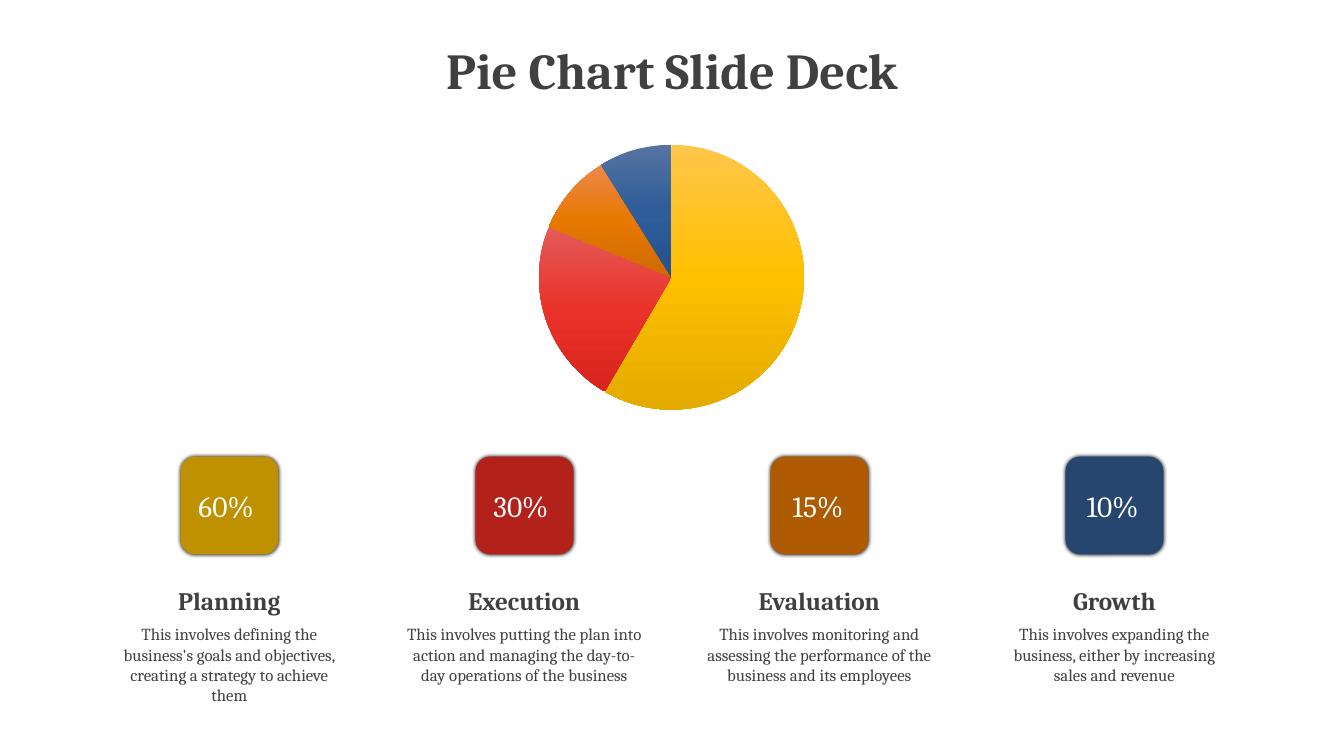
from lxml import etree
from pptx import Presentation
from pptx.chart.data import CategoryChartData
from pptx.dml.color import RGBColor
from pptx.enum.chart import XL_CHART_TYPE
from pptx.enum.shapes import MSO_SHAPE
from pptx.enum.text import MSO_ANCHOR, PP_ALIGN
from pptx.oxml import parse_xml
from pptx.oxml.ns import nsdecls, qn
from pptx.util import Inches, Pt

COLORS = {"text": "404040", "white": "FFFFFF", "black": "000000"}
PHASES = [
    {"name": "Planning", "share": "60%", "label_width": 0.81, "value": 59,
     "tile": "BF9000", "gradient": ("FFC64B", "FFC000", "E3AB00"),
     "detail": "This involves defining the business's goals and objectives, "
               "creating a strategy to achieve them"},
    {"name": "Execution", "share": "30%", "label_width": 0.81, "value": 23,
     "tile": "B3211B", "gradient": ("E55B58", "E9322A", "D8241C"),
     "detail": "This involves putting the plan into action and managing the "
               "day-to-day operations of the business"},
    {"name": "Evaluation", "share": "15%", "label_width": 0.73, "value": 10,
     "tile": "AD5A00", "gradient": ("ED884B", "E77800", "CD6B00"),
     "detail": "This involves monitoring and assessing the performance of the "
               "business and its employees"},
    {"name": "Growth", "share": "10%", "label_width": 0.75, "value": 9,
     "tile": "264670", "gradient": ("5673A2", "2E5D9A", "25528D"),
     "detail": "This involves expanding the business, either by increasing "
               "sales and revenue"},
]
TILE_SIZE = 0.97


def add_text(slide, box, lines, color, align=PP_ALIGN.CENTER, wrap=True):
    """Add a text box with one paragraph per (text, size, bold) line."""
    shape = slide.shapes.add_textbox(*map(Inches, box))
    text_frame = shape.text_frame
    text_frame.word_wrap = wrap
    text_frame.text = "\n".join(text for text, size, bold in lines)
    for paragraph, (text, size, bold) in zip(text_frame.paragraphs, lines):
        paragraph.alignment = align
        font = paragraph.runs[0].font
        font.name, font.size, font.bold = "Cambria", Pt(size), bold
        font.color.rgb = RGBColor.from_string(COLORS[color])
    return text_frame


def add_title(slide, box):
    """Place the slide title in the box."""
    title = add_text(slide, box, [("Pie Chart Slide Deck", 36, True)], "text")
    title.vertical_anchor = MSO_ANCHOR.MIDDLE


def add_gradient(point, colors):
    """Fill a pie slice with a vertical gradient of evenly spaced colours."""
    point.format.fill.gradient()
    point.format.fill.gradient_angle = 270
    stops = point.format.fill._fill._gradFill.find(qn("a:gsLst"))
    for stop in list(stops):
        stops.remove(stop)
    for index, color in enumerate(colors):
        stop = etree.SubElement(stops, qn("a:gs"), pos=str(index * 50000))
        etree.SubElement(stop, qn("a:srgbClr"), val=color)
    point.format.line.fill.background()


def add_pie(slide, box):
    """Place the pie chart of phase shares in the box."""
    chart_data = CategoryChartData()
    chart_data.categories = [str(number + 1) for number in range(len(PHASES))]
    chart_data.add_series("Series 1", [phase["value"] for phase in PHASES])
    chart = slide.shapes.add_chart(
        XL_CHART_TYPE.PIE, *map(Inches, box), chart_data).chart
    chart.has_legend = False
    chart.has_title = False
    chart.font.name, chart.font.size = "Calibri", Pt(10)
    chart.font.color.rgb = RGBColor.from_string(COLORS["black"])
    plot = chart.plots[0]
    plot.vary_by_categories = True
    for index, phase in enumerate(PHASES):
        add_gradient(plot.series[0].points[index], phase["gradient"])
    plot_area = chart._chartSpace.chart.plotArea
    for layout in plot_area.findall(qn("c:layout")):
        plot_area.remove(layout)
    plot_area.insert(0, parse_xml(
        f'<c:layout {nsdecls("c")}><c:manualLayout>'
        '<c:layoutTarget val="inner"/><c:xMode val="edge"/><c:yMode val="edge"/>'
        '<c:x val="0.16"/><c:y val="0.05"/><c:w val="0.68"/><c:h val="0.9"/>'
        '</c:manualLayout></c:layout>'))


def add_tile(slide, left, top, color):
    """Add a rounded square with a soft dark glow-like shadow."""
    tile = slide.shapes.add_shape(
        MSO_SHAPE.ROUNDED_RECTANGLE, Inches(left), Inches(top),
        Inches(TILE_SIZE), Inches(TILE_SIZE))
    tile.adjustments[0] = 0.15
    tile.fill.solid()
    tile.fill.fore_color.rgb = RGBColor.from_string(color)
    tile.line.fill.background()
    tile.shadow.inherit = False
    effects = tile._element.spPr.find(qn("a:effectLst"))
    effects.append(parse_xml(
        f'<a:outerShdw {nsdecls("a")} blurRad="{Pt(3)}" dist="0" algn="ctr" '
        f'rotWithShape="0"><a:srgbClr val="{COLORS["black"]}">'
        '<a:alpha val="96000"/></a:srgbClr></a:outerShdw>'))


def add_phase(slide, box, phase):
    """Place a phase's tile, percentage and description in the box."""
    left, top, width, height = box
    center = left + width / 2
    add_tile(slide, center - TILE_SIZE / 2, top, phase["tile"])
    label_width = phase["label_width"]
    add_text(slide, (center - label_width / 2, top + 0.26, label_width, 0.45),
             [(phase["share"], 21, False)], "white", PP_ALIGN.LEFT, wrap=False)
    description = add_text(
        slide, (left, top + 1.23, width, height - 1.23),
        [(phase["name"], 18, True), (phase["detail"], 12, False)], "text")
    description.paragraphs[0].space_after = Pt(6)


def main():
    """Build and save the slide."""
    presentation = Presentation()
    presentation.slide_width = Inches(13.33)
    presentation.slide_height = Inches(7.5)
    slide = presentation.slides.add_slide(presentation.slide_layouts[6])
    add_title(slide, (0, 0.33, 13.33, 0.71))
    for index, phase in enumerate(PHASES):
        add_phase(slide, (1.01 + index * 2.926, 4.53, 2.53, 2.53), phase)
    add_pie(slide, (4.72, 1.29, 3.88, 2.92))
    presentation.save("out.pptx")


if __name__ == "__main__":
    main()
